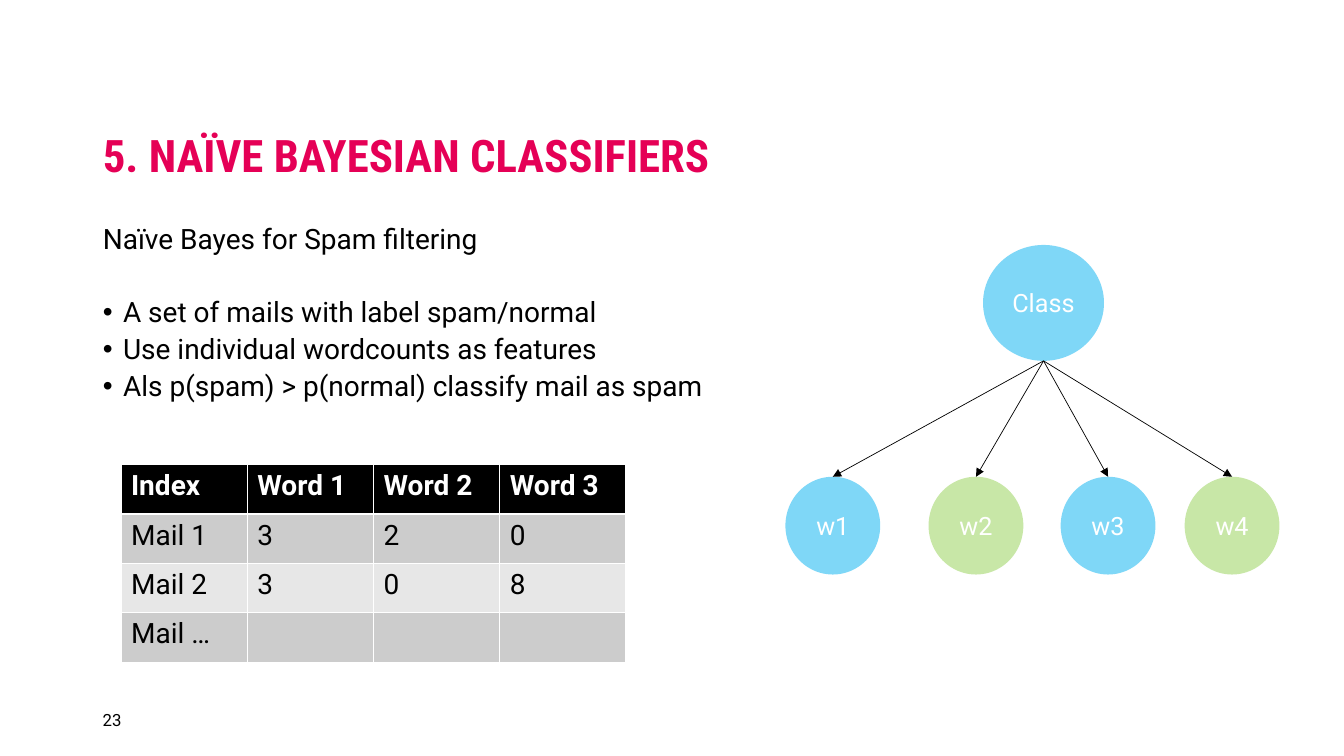
from lxml import etree
from pptx import Presentation
from pptx.dml.color import RGBColor
from pptx.enum.shapes import MSO_CONNECTOR, MSO_SHAPE
from pptx.enum.text import MSO_ANCHOR, MSO_AUTO_SIZE, PP_ALIGN
from pptx.oxml.ns import qn
from pptx.util import Inches, Pt

COLORS = {
    "title": "E50056",
    "text": "000000",
    "light": "FFFFFF",
    "blue": "00B0F0",
    "green": "92D050",
    "header": "000000",
    "odd_row": "CCCCCC",
    "even_row": "E7E7E7",
}
BULLETS = [
    "A set of mails with label spam/normal",
    "Use individual wordcounts as features",
    "Als p(spam) > p(normal) classify mail as spam",
]
WORD_COUNTS = [
    ["Index", "Word 1", "Word 2", "Word 3"],
    ["Mail 1", "3", "2", "0"],
    ["Mail 2", "3", "0", "8"],
    ["Mail …", "", "", ""],
]


def rgb(name):
    return RGBColor.from_string(COLORS[name])


def style(paragraph, size, color="text", bold=False, font="Roboto"):
    paragraph.font.name = font
    paragraph.font.size = Pt(size)
    paragraph.font.bold = bold
    paragraph.font.color.rgb = rgb(color)


def place(shape, left, top, width, height):
    shape.left, shape.top = Inches(left), Inches(top)
    shape.width, shape.height = Inches(width), Inches(height)


def add_title(slide, left, top, width, height):
    title = slide.shapes.title
    place(title, left, top, width, height)
    frame = title.text_frame
    frame.text = "5. NAÏVE BAYESIAN CLASSIFIERS"
    frame.auto_size = MSO_AUTO_SIZE.NONE
    frame.vertical_anchor = MSO_ANCHOR.BOTTOM
    heading = frame.paragraphs[0]
    heading.alignment = PP_ALIGN.LEFT
    heading.line_spacing = Pt(26)
    style(heading, 32, "title", True, "Roboto Condensed")


def set_bullet(paragraph, char=None, indent=0):
    """Give the paragraph a hanging bullet, or none when char is missing."""
    properties = paragraph._p.get_or_add_pPr()
    properties.set("marL", str(Inches(indent)))
    properties.set("indent", str(-Inches(indent)))
    if char:
        etree.SubElement(properties, qn("a:buFont"), typeface="Arial")
        etree.SubElement(properties, qn("a:buChar"), char=char)
    else:
        etree.SubElement(properties, qn("a:buNone"))


def add_body(slide, left, top, width, height):
    body = slide.placeholders[1]
    place(body, left, top, width, height)
    frame = body.text_frame
    frame.text = "\n".join(["Naïve Bayes for Spam filtering", *BULLETS])
    frame.auto_size = MSO_AUTO_SIZE.NONE
    for number, paragraph in enumerate(frame.paragraphs):
        if number == 0:
            set_bullet(paragraph)
        else:
            set_bullet(paragraph, "•", 0.2)
        paragraph.line_spacing = 1.1
        paragraph.space_before = Pt(26.4 if number == 1 else 0)
        style(paragraph, 20)


def add_page_number(slide, left, top, width, height):
    box = slide.shapes.add_textbox(*map(Inches, (left, top, width, height)))
    frame = box.text_frame
    frame.word_wrap = True
    frame.vertical_anchor = MSO_ANCHOR.MIDDLE
    frame.text = "23"
    style(frame.paragraphs[0], 12)


def add_node(slide, label, color, left, top, width, height):
    node = slide.shapes.add_shape(
        MSO_SHAPE.OVAL, *map(Inches, (left, top, width, height)))
    node.shadow.inherit = False
    node.fill.solid()
    node.fill.fore_color.rgb = rgb(color)
    color_xml = node.fill._xPr.find(".//" + qn("a:srgbClr"))
    etree.SubElement(color_xml, qn("a:alpha"), val="50000")
    node.line.fill.background()
    frame = node.text_frame
    frame.text = label
    frame.vertical_anchor = MSO_ANCHOR.MIDDLE
    frame.paragraphs[0].alignment = PP_ALIGN.CENTER
    style(frame.paragraphs[0], 18, "light")
    return node


def add_arrow(slide, parent, child):
    arrow = slide.shapes.add_connector(
        MSO_CONNECTOR.STRAIGHT,
        parent.left + parent.width // 2, parent.top + parent.height,
        child.left + child.width // 2, child.top)
    arrow.line.color.rgb = rgb("text")
    arrow.line.width = Pt(0.5)
    etree.SubElement(arrow.line._get_or_add_ln(), qn("a:tailEnd"), type="triangle")
    etree.SubElement(arrow._element.spPr, qn("a:effectLst"))


def add_bayes_tree(slide, left, top):
    root = add_node(slide, "Class", "blue", left + 1.96, top, 1.2, 1.15)
    words = [
        add_node(slide, f"w{number}", "blue" if number % 2 else "green",
                 left + offset, top + 2.3, 0.94, 0.97)
        for number, offset in enumerate((0, 1.42, 2.73, 3.96), 1)
    ]
    for word in words:
        add_arrow(slide, root, word)


def add_word_count_table(slide, left, top, width, height):
    table = slide.shapes.add_table(
        len(WORD_COUNTS), len(WORD_COUNTS[0]),
        *map(Inches, (left, top, width, height))).table
    for row, values in enumerate(WORD_COUNTS):
        is_header = row == 0
        fill = "header" if is_header else "odd_row" if row % 2 else "even_row"
        for column, value in enumerate(values):
            cell = table.cell(row, column)
            cell.fill.solid()
            cell.fill.fore_color.rgb = rgb(fill)
            cell.text = value
            style(cell.text_frame.paragraphs[0], 20,
                  "light" if is_header else "text", is_header)


def main():
    presentation = Presentation()
    presentation.slide_width = Inches(13.33)
    presentation.slide_height = Inches(7.5)
    slide = presentation.slides.add_slide(presentation.slide_layouts[1])
    add_title(slide, 0.92, 0.4, 11.5, 1.45)
    add_body(slide, 0.92, 2.11, 11.5, 4.65)
    add_page_number(slide, 0.92, 6.94, 1.21, 0.4)
    add_bayes_tree(slide, 7.79, 2.43)
    add_word_count_table(slide, 1.2, 4.61, 5.01, 1.96)
    presentation.save("out.pptx")


if __name__ == "__main__":
    main()
